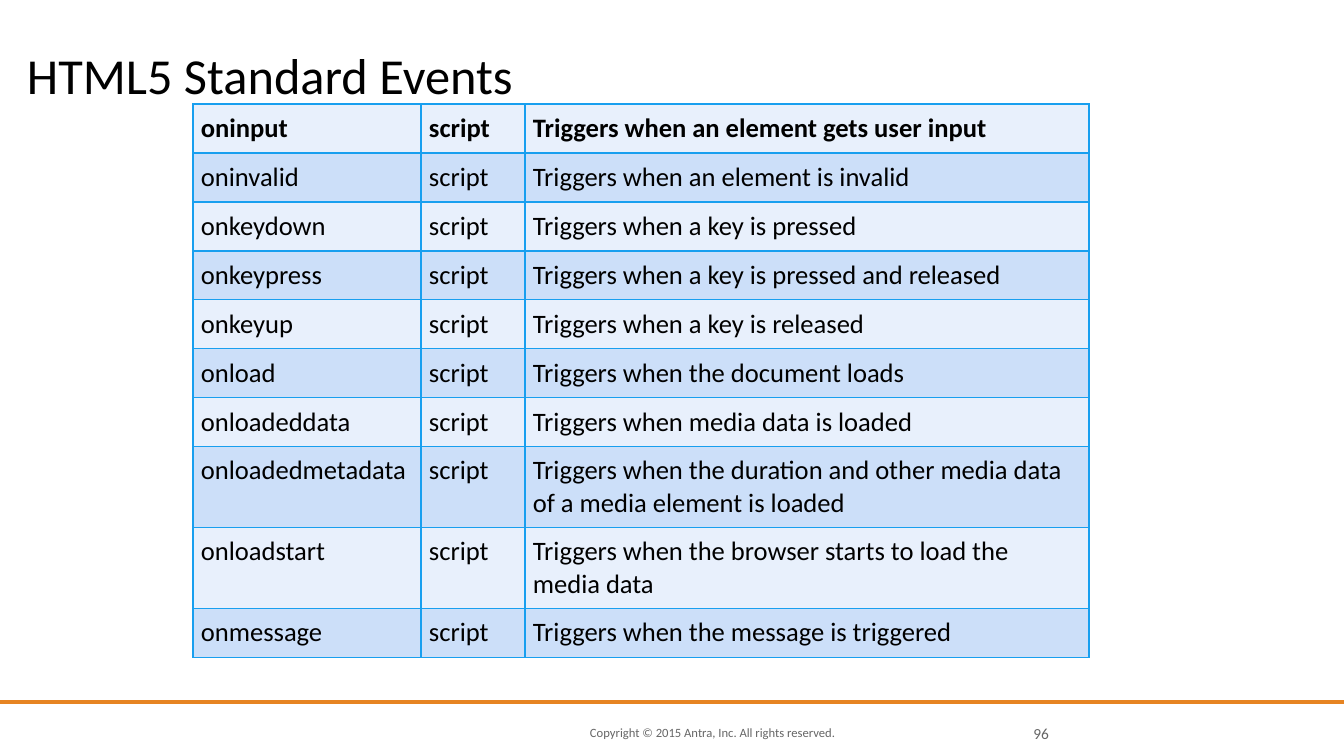
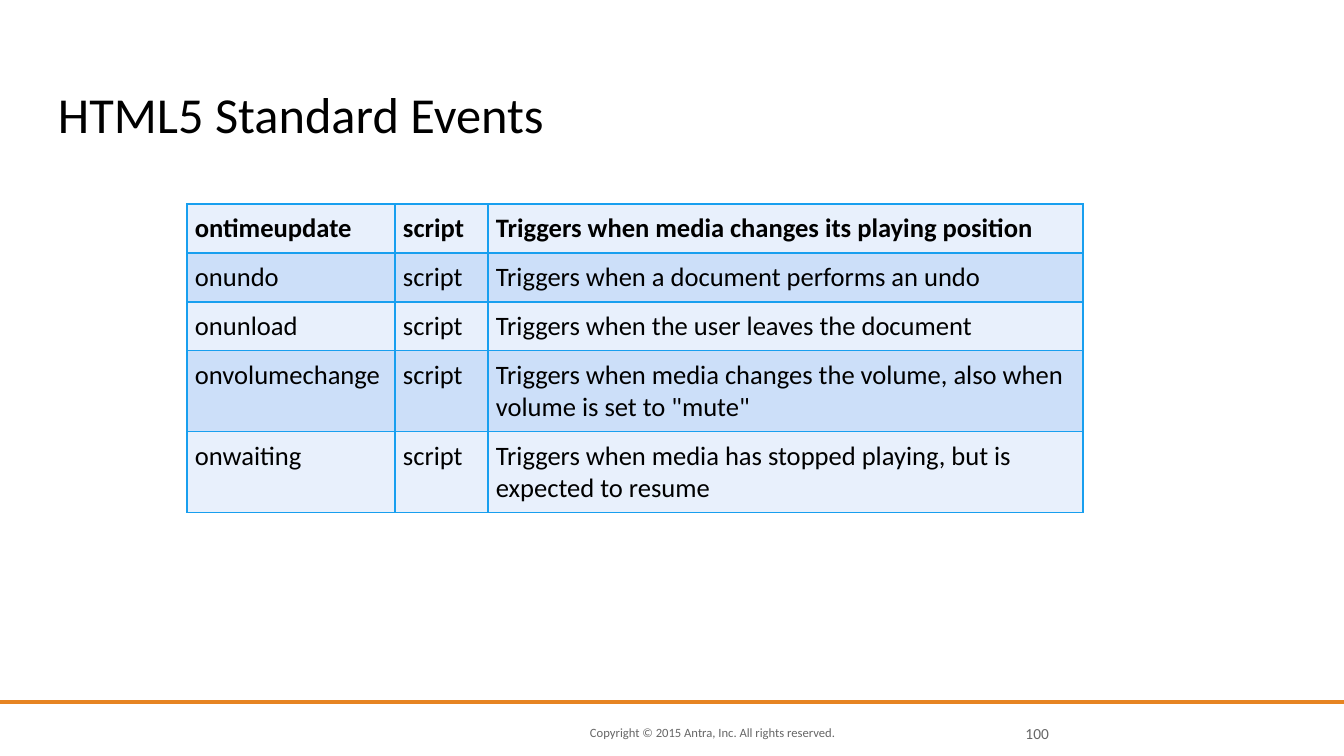
from lxml import etree
from pptx import Presentation
from pptx.dml.color import RGBColor
from pptx.enum.shapes import MSO_SHAPE
from pptx.enum.text import MSO_ANCHOR, PP_ALIGN
from pptx.oxml.ns import qn
from pptx.util import Pt

PX = 914400 / 100.8
RECTANGLE = MSO_SHAPE.RECTANGLE
LEFT, RIGHT = PP_ALIGN.LEFT, PP_ALIGN.RIGHT
MIDDLE, BOTTOM = MSO_ANCHOR.MIDDLE, MSO_ANCHOR.BOTTOM
FONT = "Calibri"
BLACK, GREY, ORANGE, BORDER = "000000", "666666", "E68422", "189FEF"
STRIPES = ["E8F0FC", "CCDFF9"]
MARGINS = ["margin_left", "margin_top", "margin_right", "margin_bottom"]
CELL_MARGIN = 8
ROW_HEIGHT, TALL_ROW_HEIGHT = 49, 81
ONE_LINE_LENGTH = 50

TITLE = "HTML5 Standard Events"
COPYRIGHT = "Copyright © 2015 Antra, Inc. All rights reserved."
PAGES = [
    {
        "number": "96",
        "title_box": (27, 33, 1227, 71),
        "table_at": (193, 104),
        "columns": [228, 104, 564],
        "events": [
            ("oninput", "Triggers when an element gets user input"),
            ("oninvalid", "Triggers when an element is invalid"),
            ("onkeydown", "Triggers when a key is pressed"),
            ("onkeypress", "Triggers when a key is pressed and released"),
            ("onkeyup", "Triggers when a key is released"),
            ("onload", "Triggers when the document loads"),
            ("onloadeddata", "Triggers when media data is loaded"),
            ("onloadedmetadata", "Triggers when the duration and other media data of a media element is loaded"),
            ("onloadstart", "Triggers when the browser starts to load the media data"),
            ("onmessage", "Triggers when the message is triggered"),
        ],
    },
    {
        "number": "100",
        "title_box": (58, 83, 1227, 60),
        "table_at": (187, 204),
        "columns": [208, 93, 595],
        "events": [
            ("ontimeupdate", "Triggers when media changes its playing position"),
            ("onundo", "Triggers when a document performs an undo"),
            ("onunload", "Triggers when the user leaves the document"),
            ("onvolumechange", 'Triggers when media changes the volume, also when volume is set to "mute"'),
            ("onwaiting", "Triggers when media has stopped playing, but is expected to resume"),
        ],
    },
]


def px(*lengths):
    return [round(length * PX) for length in lengths]


def rgb(color):
    return RGBColor.from_string(color)


prs = Presentation()
prs.slide_width, prs.slide_height = px(1344, 756)

for page in PAGES:
    slide = prs.slides.add_slide(prs.slide_layouts[6])

    band = slide.shapes.add_shape(RECTANGLE, *px(0, 700, 1344, 4))
    band.shadow.inherit = False
    band.fill.solid()
    band.fill.fore_color.rgb = rgb(ORANGE)
    band.line.fill.background()

    labels = [
        (COPYRIGHT, (590, 723, 308, 20), 9, GREY, LEFT, MIDDLE, 1.0),
        (TITLE, page["title_box"], 36, BLACK, LEFT, BOTTOM, 0.8),
        (page["number"], (1007, 723, 42, 20), 11, GREY, RIGHT, MIDDLE, 1.0),
    ]
    for text, box, size, color, alignment, anchor, spacing in labels:
        frame = slide.shapes.add_textbox(*px(*box)).text_frame
        frame_format = {"word_wrap": True, "vertical_anchor": anchor, **dict.fromkeys(MARGINS, 0)}
        for key, value in frame_format.items():
            setattr(frame, key, value)
        paragraph = frame.paragraphs[0]
        paragraph.text = text
        paragraph.alignment = alignment
        paragraph.line_spacing = spacing
        for key, value in {"name": FONT, "size": Pt(size)}.items():
            setattr(paragraph.font, key, value)
        paragraph.font.color.rgb = rgb(color)

    events, columns = page["events"], page["columns"]
    heights = [
        TALL_ROW_HEIGHT if len(description) > ONE_LINE_LENGTH else ROW_HEIGHT
        for _, description in events
    ]
    table = slide.shapes.add_table(
        len(events), len(columns), *px(*page["table_at"], sum(columns), sum(heights))
    ).table
    for column, width in zip(table.columns, px(*columns)):
        column.width = width
    for row, height in zip(table.rows, px(*heights)):
        row.height = height

    for row_index, (event, description) in enumerate(events):
        for column_index, text in enumerate((event, "script", description)):
            cell = table.cell(row_index, column_index)
            cell.text = text
            for margin in MARGINS:
                setattr(cell, margin, px(CELL_MARGIN)[0])
            font = cell.text_frame.paragraphs[0].font
            for key, value in {"name": FONT, "size": Pt(19), "bold": row_index == 0}.items():
                setattr(font, key, value)
            font.color.rgb = rgb(BLACK)
            properties = cell._tc.get_or_add_tcPr()
            for side in ("a:lnL", "a:lnR", "a:lnT", "a:lnB"):
                edge = etree.SubElement(properties, qn(side), w=str(Pt(1)))
                edge_fill = etree.SubElement(edge, qn("a:solidFill"))
                etree.SubElement(edge_fill, qn("a:srgbClr"), val=BORDER)
            cell.fill.solid()
            cell.fill.fore_color.rgb = rgb(STRIPES[row_index % 2])

prs.save("out.pptx")
